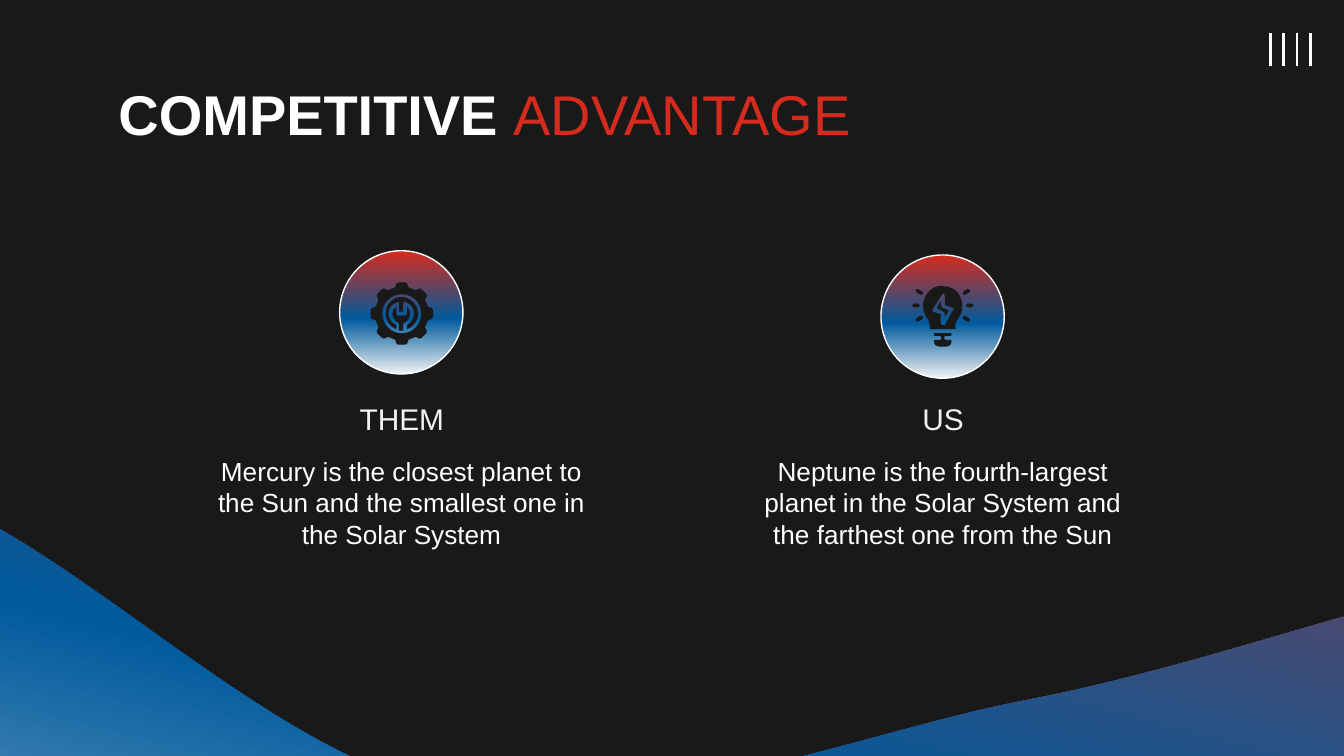
import dataclasses
import math
import typing

import pptx
import pptx.dml.color
import pptx.enum.shapes
import pptx.enum.text
import pptx.oxml
import pptx.oxml.ns
import pptx.util

Cm = pptx.util.Cm
Pt = pptx.util.Pt
Point = tuple[float, float]


@dataclasses.dataclass(frozen=True)
class Theme:
    font: str = "Arial"
    dark: str = "191919"
    white: str = "FFFFFF"
    soft_white: str = "F2F2F2"
    red: str = "D52B1E"
    gradient: tuple = ((0, "D52B1E"), (55, "005A9C"), (100, "EFF1F3"))
    title_size: int = 30
    heading_size: int = 16
    body_size: int = 14


@dataclasses.dataclass(frozen=True)
class Run:
    text: str
    size: int
    color: str
    bold: bool = False


@dataclasses.dataclass(frozen=True)
class Side:
    center: float
    circle_top: float
    heading: str
    body: str


@dataclasses.dataclass(frozen=True)
class Segment:
    command: str
    points: list[Point]


THEME = Theme()
GRID = Cm(0.0254)
TOP = pptx.enum.text.MSO_ANCHOR.TOP
MIDDLE = pptx.enum.text.MSO_ANCHOR.MIDDLE
LEFT = pptx.enum.text.PP_ALIGN.LEFT
CENTER = pptx.enum.text.PP_ALIGN.CENTER
TAGS = {"M": "moveTo", "L": "lnTo", "C": "cubicBezTo"}

SIDES = (
    Side(7.59, 4.74, "THEM",
         "Mercury is the closest planet to the Sun and the smallest one in the Solar System"),
    Side(17.82, 4.82, "US",
         "Neptune is the fourth-largest planet in the Solar System and the farthest one from the Sun"),
)

WAVE_ANGLE = 14.5
WAVE_PIVOT = (442.5, 491.5)
WAVE = """M -372 516 C -399 477 -209 347 -92 359 C 25 371 188 560 330 587
C 472 614 638 546 759 522 C 879 499 984 460 1052 446 C 1120 432 1146 426 1168 437
C 1191 447 1199 439 1188 509 C 1177 580 1242 831 1101 860 C 960 889 513 728 341 684
C 170 640 191 622 72 594 C -47 566 -344 555 -372 516"""

GEAR_CENTER = (299, 233.3)
GEAR_HOLE = """M 299 219 C 307 219 313.5 225 313.5 233.3 C 313.5 241.5 307 248 299 248
C 291 248 284.5 241.5 284.5 233.3 C 284.5 225 291 219 299 219"""
TOOTH = ((-5, -19.5), (-4, -22.3), (-2.6, -23.2), (2.6, -23.2), (4, -22.3), (5, -19.5))
WRENCH = """M 295 228 C 293 229 292 231 292 234 C 292 236 294 239 296 240
C 297 240 297 241 297 241 L 297 246 C 298 246.3 299 246.3 300 246 L 300 241
C 300 241 300 240 301 240 C 304 239 305 236 305 234 C 305 231 304 229 303 228
L 303 234 C 303 234 302 235 301 235 L 296 235 C 295 235 295 234 295 234"""
WRENCH_RING = """M 299 221 C 292 221 287 227 287 233 C 287 239 290 243 295 245 L 295 242
C 291 240 289 237 289 233 C 289 229 292 226 296 225 C 296 225 296 224 296.5 224
C 297 224 297 225 297 226 L 297 232 L 300 232 L 300 226 C 300 225 301 224 301.5 224
C 302 224 302 225 302 225 C 306 226 308 230 308 233 C 308 237 306 240 303 242 L 303 245
C 308 243 311 239 311 233 C 311 227 305 221 299 221"""

RAY = "M -1.5 -1.4 C -3.5 -1.4 -3.5 1.4 -1.5 1.4 L 1.5 1.4 C 3.5 1.4 3.5 -1.4 1.5 -1.4"
BOLT_CORE = """M 700 224 L 697 229 L 702 232 C 702 232 703 232 703 233 L 703 236
L 706 231 L 701 229 C 701 228 700 228 700 227"""
BULB_BASE = """M 695 248 L 695 250 L 699 250 C 701 250 701 253 699 253 L 695 253 L 695 254
C 695 257 697 258 699 258 L 704 258 C 706 258 708 257 708 254 L 708 253 L 704 253
C 702 253 702 250 704 250 L 708 250 L 708 248"""
BULB = """M 702 218 C 702 218 703 219 703 220 L 703 227 L 709 229 C 709 229 710 229 710 230
C 710 230 710 230 709 231 L 703 242 L 701 242 C 701 242 700 242 700 241 L 700 234
L 694 232 C 694 231 694 231 694 231 C 694 230 694 230 694 230 L 701 219
C 701 218 701 218 702 218
M 702 213 C 700 213 699 213 698 213 C 693 214 688 219 687 225 C 686 230 688 234 690 237
C 693 242 691 242 692 245 L 711 245 C 712 242 709 242 713 237 C 715 234 716 232 716 227
C 716 223 714 219 711 216 C 708 214 705 213 702 213"""
BULB_CENTER = (701.5, 227.3)
RAY_OFFSETS = ((20, 0), (-20, 0), (17.5, -10), (-17.5, 10), (17.5, 10), (-17.5, -10))


def rotate(point: Point, degrees: float, pivot: Point = (0, 0)) -> Point:
    angle = math.radians(degrees)
    x, y = point[0] - pivot[0], point[1] - pivot[1]
    return (pivot[0] + x * math.cos(angle) - y * math.sin(angle),
            pivot[1] + x * math.sin(angle) + y * math.cos(angle))


def segments(outline: str) -> list[Segment]:
    tokens = iter(outline.split())
    return [Segment(command, [(float(next(tokens)), float(next(tokens)))
                              for _ in range(3 if command == "C" else 1)])
            for command in tokens]


def transform(outline: list[Segment], move: typing.Callable[[Point], Point]) -> list[Segment]:
    return [Segment(item.command, [move(point) for point in item.points]) for item in outline]


def gear() -> list[Segment]:
    rim = [rotate((GEAR_CENTER[0] + x, GEAR_CENTER[1] + y), 45 * tooth, GEAR_CENTER)
           for tooth in range(8) for x, y in TOOTH]
    return [Segment("L" if index else "M", [point]) for index, point in enumerate(rim)] \
        + segments(GEAR_HOLE)


def ray(x: float, y: float) -> list[Segment]:
    def place(point: Point) -> Point:
        turned = rotate(point, x * y / 6)
        return BULB_CENTER[0] + x + turned[0], BULB_CENTER[1] + y + turned[1]
    return transform(segments(RAY), place)


def flatten(outline: list[Segment]) -> list[Point]:
    points: list[Point] = []
    for item in outline:
        if item.command != "C":
            points += item.points
            continue
        controls = [points[-1], *item.points]
        for t in (step / 16 for step in range(1, 17)):
            weights = [math.comb(3, i) * t**i * (1 - t)**(3 - i) for i in range(4)]
            points.append(tuple(sum(w * p[axis] for w, p in zip(weights, controls))
                                for axis in (0, 1)))
    return points


def draw_outline(slide: typing.Any, outline: list[Segment]) -> typing.Any:
    start, *others = [(x * GRID, y * GRID) for x, y in flatten(outline)]
    builder = slide.shapes.build_freeform(*start, scale=1.0)
    builder.add_line_segments(others)
    shape = builder.convert_to_shape()
    curves = ""
    for index, item in enumerate(outline):
        points = "".join(f'<a:pt x="{round(x * GRID - shape.left)}" y="{round(y * GRID - shape.top)}"/>'
                         for x, y in item.points)
        close = "<a:close/>" if index and item.command == "M" else ""
        curves += f"{close}<a:{TAGS[item.command]}>{points}</a:{TAGS[item.command]}>"
    outline_element = shape._element.spPr.find(".//" + pptx.oxml.ns.qn("a:path"))
    outline_element.getparent().replace(outline_element, pptx.oxml.parse_xml(
        f'<a:path w="{shape.width}" h="{shape.height}" {pptx.oxml.ns.nsdecls("a")}>'
        f"{curves}<a:close/></a:path>"))
    shape.shadow.inherit = False
    shape.line.fill.background()
    fill_solid(shape.fill, THEME.dark)
    return shape


def fill_solid(fill: typing.Any, color: str) -> None:
    fill.solid()
    fill.fore_color.rgb = pptx.dml.color.RGBColor.from_string(color)


def fill_gradient(shape: typing.Any) -> None:
    shape.fill.gradient()
    gradient = shape._element.spPr.find(pptx.oxml.ns.qn("a:gradFill"))
    stops = "".join(f'<a:gs pos="{position * 1000}"><a:srgbClr val="{color}"/></a:gs>'
                    for position, color in THEME.gradient)
    gradient.getparent().replace(gradient, pptx.oxml.parse_xml(
        f'<a:gradFill rotWithShape="1" {pptx.oxml.ns.nsdecls("a")}><a:gsLst>{stops}</a:gsLst>'
        '<a:lin ang="5400000" scaled="0"/></a:gradFill>'))


def draw_text(slide: typing.Any, box: tuple[float, float, float, float], runs: list[Run],
              alignment: typing.Any = CENTER, anchor: typing.Any = TOP) -> None:
    frame = slide.shapes.add_textbox(*map(Cm, box)).text_frame
    margins = {f"margin_{edge}": Cm(0.25) for edge in ("left", "top", "right", "bottom")}
    for name, value in {"word_wrap": True, "vertical_anchor": anchor, **margins}.items():
        setattr(frame, name, value)
    paragraph = frame.paragraphs[0]
    paragraph.alignment = alignment
    for item in runs:
        run = paragraph.add_run()
        run.text = item.text
        styles = {"name": THEME.font, "size": Pt(item.size), "bold": item.bold}
        for name, value in styles.items():
            setattr(run.font, name, value)
        fill_solid(run.font.fill, item.color)


def draw_bar(slide: typing.Any, x: float) -> typing.Any:
    bar = slide.shapes.add_connector(
        pptx.enum.shapes.MSO_CONNECTOR.STRAIGHT, Cm(x), Cm(0.63), Cm(x), Cm(1.25))
    fill_solid(bar.line.fill, THEME.white)
    bar.line.width = Pt(1.5)
    bar._element.spPr.append(pptx.oxml.parse_xml(f'<a:effectLst {pptx.oxml.ns.nsdecls("a")}/>'))
    return bar


def draw_side(slide: typing.Any, side: Side) -> None:
    draw_text(slide, (side.center - 3.81, 8.36, 7.62, 2.31),
              [Run(side.body, THEME.body_size, THEME.white)])
    draw_text(slide, (side.center - 1.9, 7.32, 3.81, 1.19),
              [Run(side.heading, THEME.heading_size, THEME.soft_white)], anchor=MIDDLE)
    circle = slide.shapes.add_shape(
        pptx.enum.shapes.MSO_SHAPE.OVAL,
        Cm(side.center - 1.17), Cm(side.circle_top), Cm(2.33), Cm(2.33))
    circle.shadow.inherit = False
    fill_gradient(circle)
    fill_solid(circle.line.fill, THEME.white)
    circle.line.width = Pt(0.75)


def main() -> None:
    presentation = pptx.Presentation()
    presentation.slide_width, presentation.slide_height = Cm(25.4), Cm(14.29)
    slide = presentation.slides.add_slide(presentation.slide_layouts[6])
    fill_solid(slide.background.fill, THEME.dark)

    wave = draw_outline(slide, transform(
        segments(WAVE), lambda point: rotate(point, -WAVE_ANGLE, WAVE_PIVOT)))
    wave.rotation = WAVE_ANGLE
    fill_gradient(wave)
    slide.shapes.add_group_shape([draw_bar(slide, 24.01 + 0.25 * index) for index in range(4)])

    draw_text(slide, (1.99, 1.26, 20.32, 1.8),
              [Run("COMPETITIVE ", THEME.title_size, THEME.white, True),
               Run("ADVANTAGE", THEME.title_size, THEME.red)], LEFT)
    for side in SIDES:
        draw_side(slide, side)

    wrench_icon = [segments(WRENCH), segments(WRENCH_RING), gear()]
    bulb_icon = [ray(x, y) for x, y in RAY_OFFSETS] + [
        segments(outline) for outline in (BOLT_CORE, BULB_BASE, BULB)]
    for icon in (wrench_icon, bulb_icon):
        slide.shapes.add_group_shape([draw_outline(slide, outline) for outline in icon])
    presentation.save("out.pptx")


if __name__ == "__main__":
    main()
